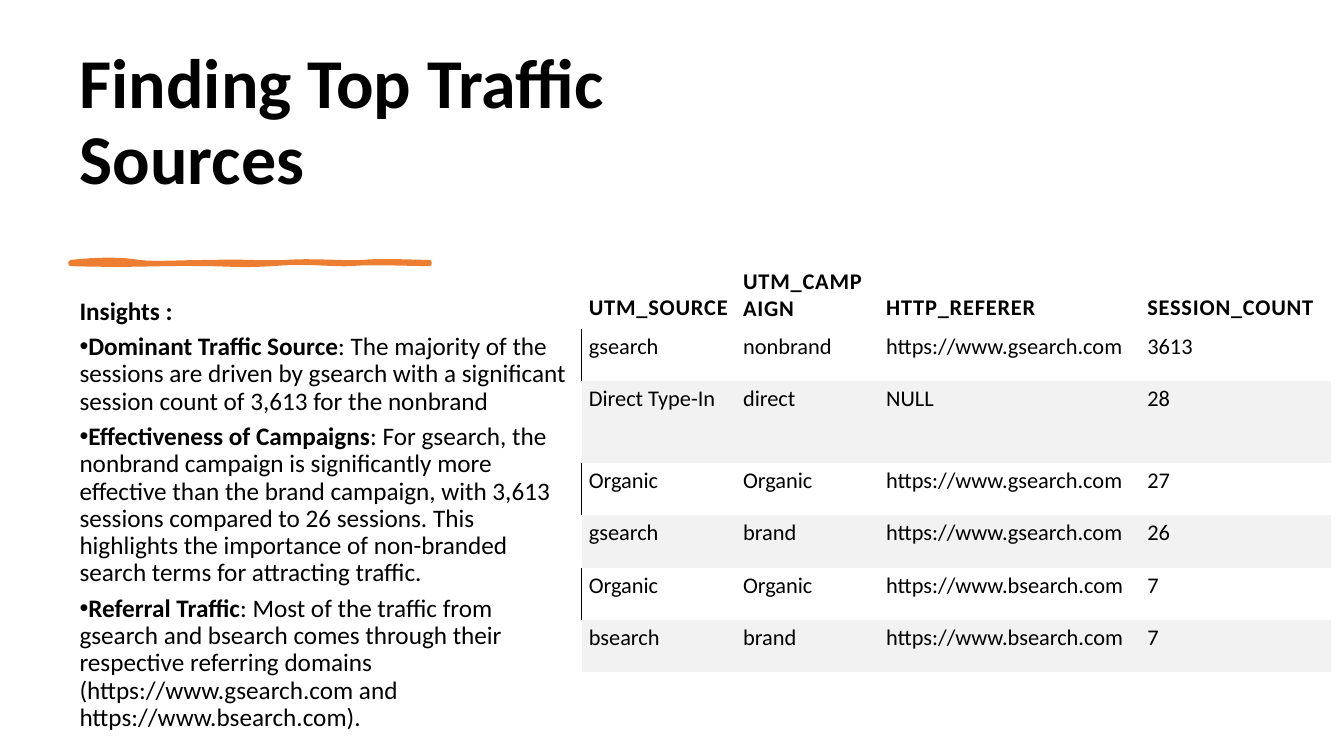
import pptx
import pptx.util
import pptx.dml.color
import pptx.enum.text
import pptx.oxml
import pptx.oxml.ns
from pptx.util import Inches, Pt

BLACK = pptx.dml.color.RGBColor(0x00, 0x00, 0x00)
ORANGE = pptx.dml.color.RGBColor(0xED, 0x7D, 0x31)
BAND = pptx.dml.color.RGBColor(0xF2, 0xF2, 0xF2)
NAMESPACE = pptx.oxml.ns.nsdecls("a")


def add_run(paragraph, text, size, bold):
    run = paragraph.add_run()
    run.text = text
    run.font.color.rgb = BLACK
    font_format = {"name": "Calibri", "size": Pt(size), "bold": bold}
    for attribute, value in font_format.items():
        setattr(run.font, attribute, value)
    return run


def curve_points(start, curves, steps=8):
    points = []
    for x1, y1, x2, y2, x3, y3 in curves:
        xs, ys = (start[0], x1, x2, x3), (start[1], y1, y2, y3)
        for step in range(1, steps + 1):
            t = step / steps
            weights = ((1 - t) ** 3, 3 * t * (1 - t) ** 2, 3 * t * t * (1 - t), t ** 3)
            points.append(tuple(Inches(sum(w * v for w, v in zip(weights, values)))
                                for values in (xs, ys)))
        start = (x3, y3)
    return points


presentation = pptx.Presentation()
presentation.slide_width = Inches(13.33)
presentation.slide_height = Inches(7.5)
slide = presentation.slides.add_slide(presentation.slide_layouts[5])

heading = slide.shapes.title
heading_place = {"left": 0.69, "top": 1.01, "width": 7.66, "height": 1.02}
for attribute, value in heading_place.items():
    setattr(heading, attribute, Inches(value))
heading_format = {
    "word_wrap": True,
    "auto_size": pptx.enum.text.MSO_AUTO_SIZE.NONE,
    "vertical_anchor": pptx.enum.text.MSO_ANCHOR.BOTTOM,
}
for attribute, value in heading_format.items():
    setattr(heading.text_frame, attribute, value)
heading_line = heading.text_frame.paragraphs[0]
heading_line.alignment = pptx.enum.text.PP_ALIGN.LEFT
heading_line.line_spacing = 0.9
add_run(heading_line, "Finding Top Traffic Sources", 50, True)

stroke_start = (0.7, 2.6)
stroke_curves = [
    (0.97, 2.57, 1.21, 2.57, 1.38, 2.6),
    (1.55, 2.62, 1.77, 2.6, 2.09, 2.6),
    (2.41, 2.59, 2.6, 2.61, 2.84, 2.6),
    (3.08, 2.58, 3.39, 2.61, 3.59, 2.6),
    (3.79, 2.58, 4.12, 2.6, 4.26, 2.6),
    (4.26, 2.6, 4.26, 2.61, 4.26, 2.62),
    (4.08, 2.62, 3.64, 2.6, 3.48, 2.62),
    (3.32, 2.63, 3.04, 2.59, 2.7, 2.62),
    (2.35, 2.64, 2.31, 2.62, 1.99, 2.62),
    (1.66, 2.61, 1.32, 2.64, 0.7, 2.62),
]
outline = slide.shapes.build_freeform(*(Inches(value) for value in stroke_start))
outline.add_line_segments(curve_points(stroke_start, stroke_curves), close=True)
brush_stroke = outline.convert_to_shape()
brush_stroke.shadow.inherit = False
brush_stroke.fill.solid()
brush_stroke.fill.fore_color.rgb = ORANGE
brush_stroke.line.color.rgb = ORANGE
brush_stroke.line.width = Pt(3)

insights = [
    ("Insights :", ""),
    ("Dominant Traffic Source",
     ": The majority of the sessions are driven by gsearch with a significant "
     "session count of 3,613 for the nonbrand"),
    ("Effectiveness of Campaigns",
     ": For gsearch, the nonbrand campaign is significantly more effective than the "
     "brand campaign, with 3,613 sessions compared to 26 sessions. This highlights "
     "the importance of non-branded search terms for attracting traffic."),
    ("Referral Traffic",
     ": Most of the traffic from gsearch and bsearch comes through their respective "
     "referring domains (https://www.gsearch.com and https://www.bsearch.com)."),
]
insights_text = slide.shapes.add_textbox(
    Inches(0.69), Inches(2.91), Inches(5.08), Inches(4.24)).text_frame
insights_text.word_wrap = True
for index, (topic, finding) in enumerate(insights):
    paragraph = insights_text.add_paragraph() if index else insights_text.paragraphs[0]
    paragraph.line_spacing = 0.9
    paragraph.space_after = Pt(6)
    if finding:
        properties = paragraph._p.get_or_add_pPr()
        properties.set("marL", "0")
        properties.set("indent", str(-Inches(0.25)))
        for bullet in ('buFont {} typeface="Arial"', 'buChar {} char="•"'):
            properties.append(pptx.oxml.parse_xml(f"<a:{bullet.format(NAMESPACE)}/>"))
    add_run(paragraph, topic, 18, True)
    if finding:
        add_run(paragraph, finding, 18, False)

sessions = [
    ("UTM_SOURCE", "UTM_CAMPAIGN", "HTTP_REFERER", "SESSION_COUNT"),
    ("gsearch", "nonbrand", "https://www.gsearch.com", "3613"),
    ("Direct Type-In", "direct", "NULL", "28"),
    ("Organic", "Organic", "https://www.gsearch.com", "27"),
    ("gsearch", "brand", "https://www.gsearch.com", "26"),
    ("Organic", "Organic", "https://www.bsearch.com", "7"),
    ("bsearch", "brand", "https://www.bsearch.com", "7"),
]
column_widths = [1.53, 1.42, 2.59, 1.89]
row_heights = [0.48, 0.52, 0.81, 0.52, 0.52, 0.52, 0.52]
traffic = slide.shapes.add_table(
    len(sessions), len(column_widths), Inches(5.77), Inches(2.59),
    Inches(sum(column_widths)), Inches(sum(row_heights))).table
traffic.horz_banding = False
style = traffic._tbl.tblPr.find(pptx.oxml.ns.qn("a:tableStyleId"))
style.text = "{2D5ABB26-0587-4C30-8999-92F81FD0307C}"
for column, width in zip(traffic.columns, column_widths):
    column.width = Inches(width)
for row, height in zip(traffic.rows, row_heights):
    row.height = Inches(height)

for row_index, session in enumerate(sessions):
    header = row_index == 0
    for column_index, value in enumerate(session):
        cell = traffic.cell(row_index, column_index)
        cell_format = {
            "margin_left": Inches(0.07),
            "margin_right": Inches(0.07),
            "margin_top": Inches(0.07 if header else 0.04),
            "margin_bottom": Inches(0.07),
            "vertical_anchor": (pptx.enum.text.MSO_ANCHOR.BOTTOM if header
                                else pptx.enum.text.MSO_ANCHOR.TOP),
        }
        for attribute, setting in cell_format.items():
            setattr(cell, attribute, setting)
        entry = add_run(cell.text_frame.paragraphs[0], value, 16, header)
        if header:
            entry.font._element.set("spc", "60")
        if row_index and row_index % 2 == 0:
            cell.fill.solid()
            cell.fill.fore_color.rgb = BAND
        else:
            cell.fill.background()
        if row_index % 2 and column_index == 0:
            cell._tc.get_or_add_tcPr().insert(0, pptx.oxml.parse_xml(
                f'<a:lnL {NAMESPACE} w="{Pt(1)}"><a:solidFill>'
                f'<a:srgbClr val="{BLACK}"/></a:solidFill></a:lnL>'))

presentation.save("out.pptx")
